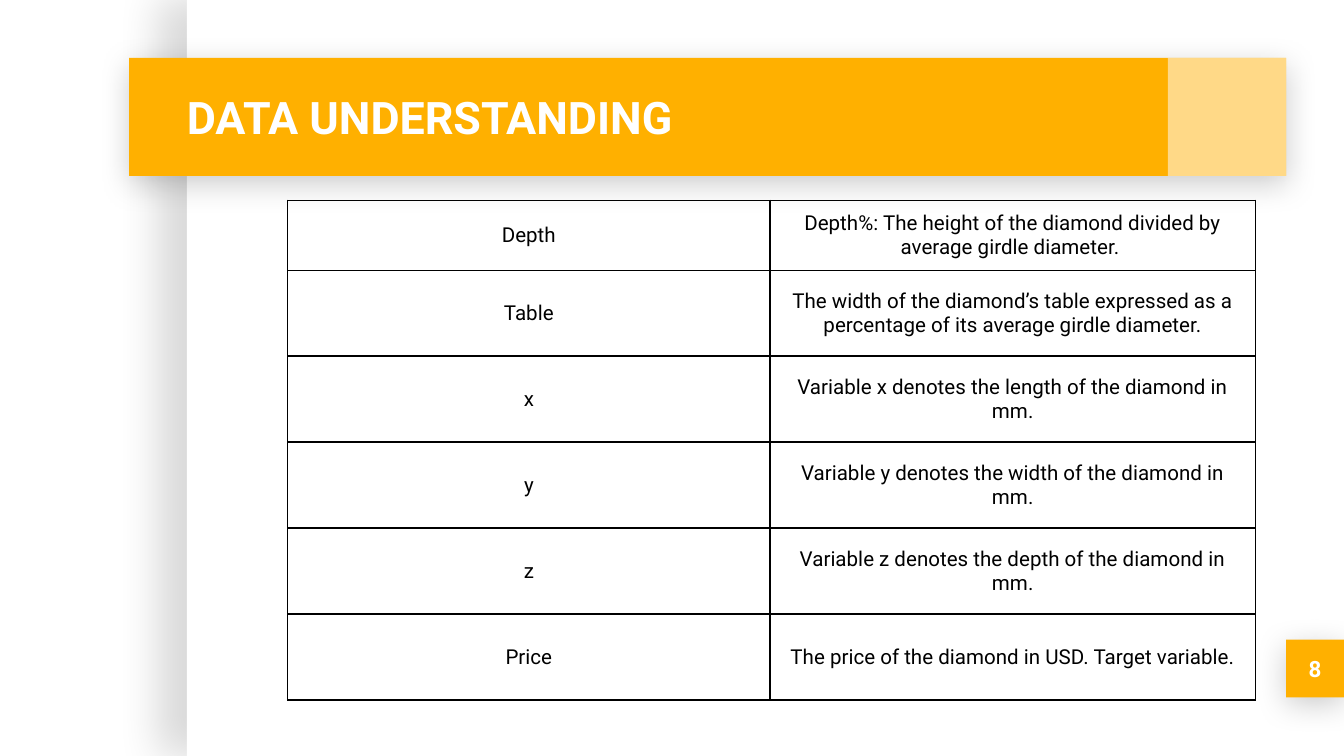
from dataclasses import dataclass

from lxml.etree import SubElement
from pptx import Presentation
from pptx.dml.color import RGBColor
from pptx.enum.shapes import MSO_SHAPE
from pptx.enum.text import MSO_ANCHOR, MSO_AUTO_SIZE, PP_ALIGN
from pptx.oxml import parse_xml
from pptx.oxml.ns import nsdecls, qn
from pptx.util import Inches, Pt


@dataclass(frozen=True)
class Theme:
    font: str = "Roboto"
    white: str = "FFFFFF"
    black: str = "000000"
    accent: str = "FFB000"
    title_size: int = 24
    number_size: int = 12
    table_size: int = 11
    border_width: float = 0.75


theme = Theme()


def add_rect(area, color, shadow=None, opacity=None):
    """Add a plain rectangle; shadow is (opacity %, blur pt, distance pt, angle)."""
    rect = page.shapes.add_shape(MSO_SHAPE.RECTANGLE, *map(Inches, area))
    rect.fill.solid()
    rect.fill.fore_color.rgb = RGBColor.from_string(color)
    rect.line.fill.background()
    rect.shadow.inherit = False
    properties = rect._element.spPr
    if shadow:
        strength, blur, distance, angle = shadow
        properties.find(qn("a:effectLst")).append(parse_xml(
            f'<a:outerShdw {nsdecls("a")} blurRad="{Pt(blur)}" dist="{Pt(distance)}" '
            f'dir="{angle * 60000}" algn="bl" rotWithShape="0">'
            f'<a:srgbClr val="{theme.black}"><a:alpha val="{strength * 1000}"/>'
            f'</a:srgbClr></a:outerShdw>'))
    if opacity:
        tint = properties.find(qn("a:solidFill"))[0]
        SubElement(tint, qn("a:alpha"), val=str(opacity * 1000))


def write(frame, text, size, color, align, bold=False):
    """Write one styled run into the first paragraph of a text frame."""
    frame.word_wrap = True
    para = frame.paragraphs[0]
    para.alignment = align
    span = para.add_run()
    span.text = text
    span.font.name = theme.font
    span.font.size = Pt(size)
    span.font.bold = bold
    span.font.color.rgb = RGBColor.from_string(color)


# A 16:9 page
page_width = 10
page_height = page_width * 9 / 16
deck = Presentation()
deck.slide_width, deck.slide_height = Inches(page_width), Inches(page_height)
page = deck.slides.add_slide(deck.slide_layouts[5])

# White panel, number tab, title band and its pale end
number_area = (9.57, 4.76, 0.43, 0.43)
drop_shadow = (20, 16.9, 3.8, 90)
add_rect((1.39, 0, 8.61, page_height), theme.white, shadow=(15, 22.5, 15, 180))
add_rect(number_area, theme.accent, shadow=drop_shadow)
add_rect((0.96, 0.43, 8.61, 0.88), theme.accent, shadow=drop_shadow)
add_rect((8.69, 0.43, 0.88, 0.88), theme.white, opacity=53)

# Title and page number, in front of the band and the tab
title = page.shapes.title
title.left, title.top, title.width, title.height = map(Inches, (1.29, 0.43, 7.37, 0.88))
page.shapes._spTree.append(title._element)
number = page.shapes.add_textbox(*map(Inches, number_area))
for box in (title, number):
    frame = box.text_frame
    frame.auto_size = MSO_AUTO_SIZE.NONE
    frame.vertical_anchor = MSO_ANCHOR.MIDDLE
    frame.margin_left = frame.margin_right = Inches(0.1)
    frame.margin_top = frame.margin_bottom = Inches(0.1)
write(title.text_frame, "DATA UNDERSTANDING", theme.title_size, theme.white,
      PP_ALIGN.LEFT, bold=True)
write(number.text_frame, "8", theme.number_size, theme.white, PP_ALIGN.CENTER, bold=True)

# Table of variables
variables = [
    ("Depth", "Depth%: The height of the diamond divided by average girdle diameter. "),
    ("Table", "The width of the diamond’s table expressed as a percentage of its "
              "average girdle diameter."),
    ("x", "Variable x denotes the length of the diamond in mm."),
    ("y", "Variable y denotes the width of the diamond in mm."),
    ("z", "Variable z denotes the depth of the diamond in mm."),
    ("Price", "The price of the diamond in USD. Target variable."),
]
column_widths = (3.59, 3.61)
row_heights = [0.52] + [0.64] * (len(variables) - 1)
table = page.shapes.add_table(
    len(variables), len(column_widths), Inches(2.14), Inches(1.49),
    Inches(sum(column_widths)), Inches(sum(row_heights))).table
table.first_row = table.horz_banding = False
for column, width in zip(table.columns, column_widths):
    column.width = Inches(width)

for row, height, texts in zip(table.rows, row_heights, variables):
    row.height = Inches(height)
    for cell, text in zip(row.cells, texts):
        cell.fill.background()
        cell.vertical_anchor = MSO_ANCHOR.MIDDLE
        cell.margin_left = cell.margin_right = Inches(0.1)
        cell.margin_top = cell.margin_bottom = Inches(0.07)
        write(cell.text_frame, text, theme.table_size, theme.black, PP_ALIGN.CENTER)
        # Borders go before the fill in the cell properties
        for position, side in enumerate("LRTB"):
            cell._tc.get_or_add_tcPr().insert(position, parse_xml(
                f'<a:ln{side} {nsdecls("a")} w="{Pt(theme.border_width)}">'
                f'<a:solidFill><a:srgbClr val="{theme.black}"/></a:solidFill>'
                f'</a:ln{side}>'))

deck.save("out.pptx")
